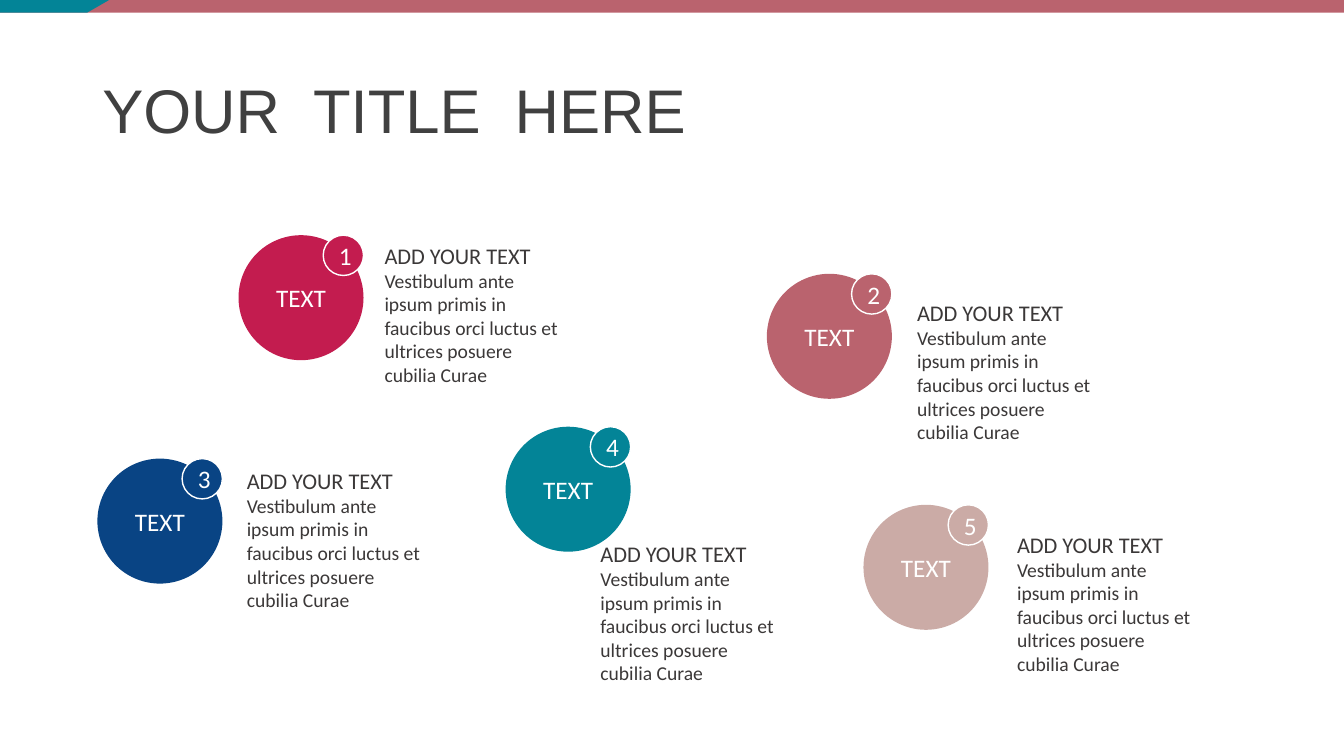
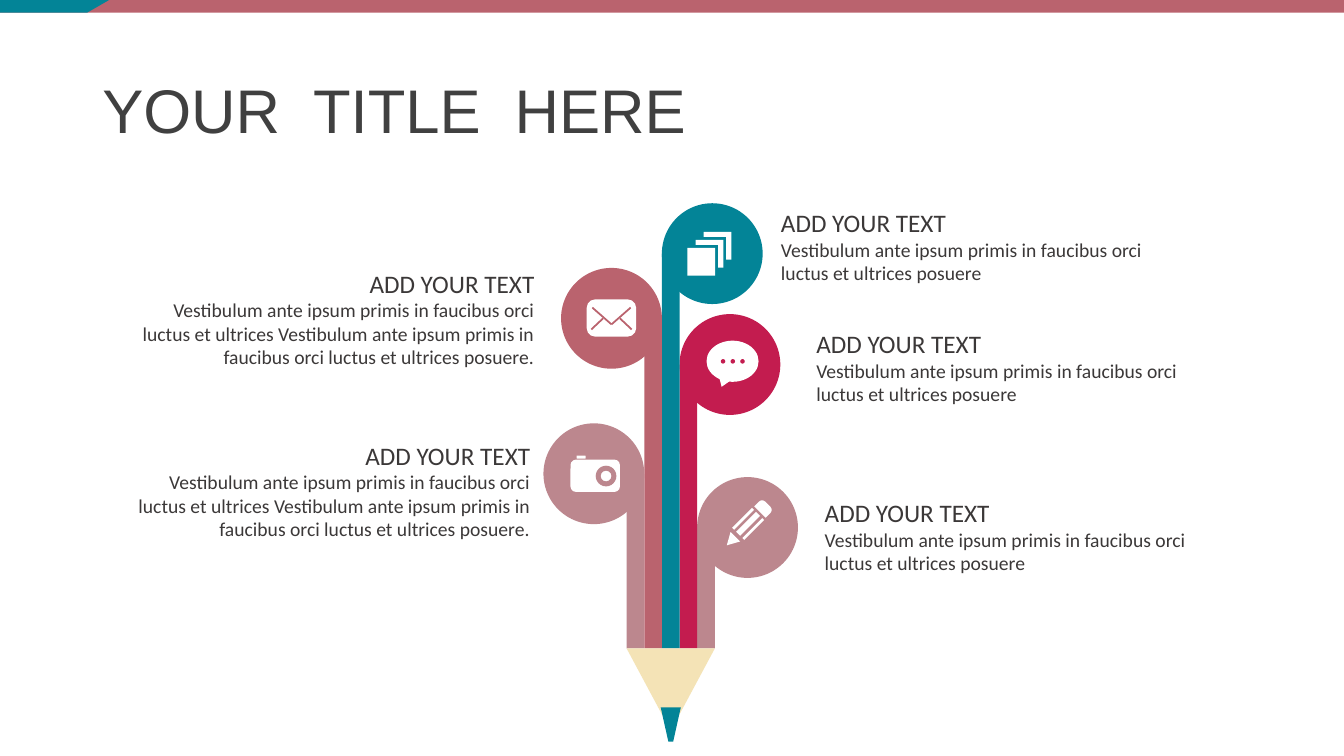
from math import sqrt

from lxml.etree import SubElement
from pptx import Presentation
from pptx.dml.color import RGBColor
from pptx.enum.shapes import MSO_CONNECTOR, MSO_SHAPE as Preset
from pptx.enum.text import MSO_ANCHOR as Anchor, PP_ALIGN as Align
from pptx.oxml.ns import qn
from pptx.util import Emu, Inches, Pt

# Grid of square cells, six to the inch
COLUMNS, ROWS = 80, 45
CELL = Inches(7.5) / ROWS

# Theme
WHITE = RGBColor(0xFF, 0xFF, 0xFF)
ROSE = RGBColor(0xBA, 0x63, 0x6E)
TEAL = RGBColor(0x03, 0x84, 0x97)
CRIMSON = RGBColor(0xC3, 0x1C, 0x4F)
NAVY = RGBColor(0x09, 0x44, 0x84)
BLUSH = RGBColor(0xCB, 0xAB, 0xA6)
MAUVE = RGBColor(0xBC, 0x87, 0x8E)
WOOD = RGBColor(0xF4, 0xE3, 0xB6)
TITLE_GREY = RGBColor(0x40, 0x40, 0x40)
TEXT_GREY = RGBColor(0x3B, 0x38, 0x38)
TITLE_FONT, BODY_FONT = "Arial", "Calibri"

# Numbered discs
DISC, BADGE = 7.44, 2.4

# Pencil made of stems
STEM_WIDTH, STEM_LEFT, STEM_BOTTOM, KNOB = 1.05, 37.3, 38.6, 6

HEADING = "ADD YOUR TEXT"
OPENING = "Vestibulum ante ipsum primis in faucibus orci luctus et ultrices"
DISC_TEXT = f"{OPENING} posuere cubilia Curae"
SHORT_TEXT = f"{OPENING} posuere"
LONG_TEXT = f"{OPENING} {OPENING} posuere."


def cells(count):
    return Emu(round(count * CELL))


def paint(shape, color, outline=None):
    shape.shadow.inherit = False
    shape.fill.solid()
    shape.fill.fore_color.rgb = color
    if outline is None:
        shape.line.fill.background()
    else:
        shape.line.color.rgb = outline
        shape.line.width = Pt(1)
    return shape


def add_preset(slide, preset, left, top, width, height, color,
               outline=None, adjustments=(), rotation=0):
    shape = slide.shapes.add_shape(
        preset, cells(left), cells(top), cells(width), cells(height))
    for index, value in enumerate(adjustments):
        shape.adjustments[index] = value
    shape.rotation = rotation
    return paint(shape, color, outline)


def add_polygon(slide, points, color):
    start, *others = [(cells(x), cells(y)) for x, y in points]
    builder = slide.shapes.build_freeform(*start)
    builder.add_line_segments(others, close=True)
    return paint(builder.convert_to_shape(), color)


def add_line(slide, start, end, color):
    line = slide.shapes.add_connector(
        MSO_CONNECTOR.STRAIGHT, *(cells(value) for value in (*start, *end)))
    line.line.color.rgb = color
    line.line.width = Pt(1.25)
    SubElement(line._element.spPr, qn("a:effectLst"))


def write(shape, text, size, color, align, font=BODY_FONT):
    paragraph = shape.text_frame.paragraphs[0]
    paragraph.text = text
    paragraph.alignment = align
    paragraph.font.name = font
    paragraph.font.size = Pt(size)
    paragraph.font.color.rgb = color
    return paragraph


def add_text(slide, left, top, width, height, text, size,
             color=TEXT_GREY, align=Align.LEFT, font=BODY_FONT, anchor=Anchor.TOP):
    box = slide.shapes.add_textbox(
        cells(left), cells(top), cells(width), cells(height))
    box.text_frame.word_wrap = True
    box.text_frame.vertical_anchor = anchor
    return write(box, text, size, color, align, font)


def add_label(slide, left, top, width, text, lines, size, align=Align.LEFT):
    """Heading with body text directly under its line."""
    heading_line = size / 10
    add_text(slide, left, top, width, heading_line + 0.6, HEADING, size, align=align)
    add_text(slide, left, top + heading_line, width, lines * 1.42 + 0.6,
             text, 14, align=align)


def add_titled_slide(presentation):
    """Blank slide with the shared top band and title."""
    slide = presentation.slides.add_slide(presentation.slide_layouts[6])
    add_preset(slide, Preset.RECTANGLE, 0, 0, COLUMNS, 0.75, ROSE)
    add_polygon(slide, [(0, 0), (6.5, 0), (5.2, 0.75), (0, 0.75)], TEAL)
    title = add_text(slide, 5.5, 2.4, 69, 8.7, "YOUR  TITLE  HERE", 44,
                     TITLE_GREY, font=TITLE_FONT, anchor=Anchor.MIDDLE)
    title.line_spacing = 0.9
    return slide


def add_numbered_disc(slide, left, top, number, color):
    disc = add_preset(slide, Preset.OVAL, left, top, DISC, DISC, color)
    badge = add_preset(slide, Preset.OVAL, left + DISC - BADGE, top,
                       BADGE, BADGE, color, WHITE)
    for shape, text in ((disc, "TEXT"), (badge, str(number))):
        write(shape, text, 18, WHITE, Align.CENTER)


def add_stem(slide, index, top, color, draw_icon):
    """Pencil stripe that ends in a disc with an icon."""
    left = STEM_LEFT + index * STEM_WIDTH
    disc_left = left if index >= 2 else left + STEM_WIDTH - KNOB
    middle = top + KNOB / 2
    add_preset(slide, Preset.OVAL, disc_left, top, KNOB, KNOB, color)
    add_preset(slide, Preset.RECTANGLE, left, middle,
               STEM_WIDTH, STEM_BOTTOM - middle, color)
    draw_icon(slide, disc_left + KNOB / 2, middle, color)


# Icons, each placed from the centre of its disc
def draw_camera(slide, x, y, color):
    add_preset(slide, Preset.ROUNDED_RECTANGLE, x - 1.39, y - 0.84, 2.94, 1.92, WHITE)
    add_preset(slide, Preset.ROUNDED_RECTANGLE, x - 1.03, y - 1.08, 0.54, 0.18, WHITE)
    add_preset(slide, Preset.DONUT, x + 0.11, y - 0.48, 1.23, 1.23, color,
               adjustments=[0.24])


def draw_envelope(slide, x, y, color):
    add_preset(slide, Preset.ROUNDED_RECTANGLE, x - 1.48, y - 1.13, 2.95, 2.22,
               WHITE, adjustments=[0.23])
    for side in (-1, 1):
        add_line(slide, (x + side * 1.14, y - 0.64), (x, y + 0.36), color)
        add_line(slide, (x + side * 1.2, y + 0.66), (x + side * 0.5, y), color)


def draw_pages(slide, x, y, color):
    size, step, edge = 1.65, 0.48, 0.3
    left, top = x - 1.48, y - 0.34
    add_preset(slide, Preset.RECTANGLE, left, top, size, size, WHITE)
    for number in (1, 2):
        page_left, page_top = left + number * step, top - number * step
        right, bottom = page_left + size, page_top + size
        add_polygon(slide, [
            (page_left, page_top), (right, page_top), (right, bottom),
            (right - edge, bottom), (right - edge, page_top + edge),
            (page_left, page_top + edge)], WHITE)


def draw_bubble(slide, x, y, color):
    add_preset(slide, Preset.OVAL_CALLOUT, x - 1.39, y - 1.42, 3.1, 2.45, WHITE,
               adjustments=[-0.21, 0.62])
    dot = 0.27
    for offset in (-0.58, 0, 0.58):
        add_preset(slide, Preset.OVAL, x + 0.17 + offset - dot / 2,
                   y - 0.19 - dot / 2, dot, dot, color)


def draw_pencil(slide, x, y, color):
    tip_x, tip_y = x - 1.24, y + 1.06
    # Preset, distance from tip, sideways offset, length, thickness, rotation
    parts = [
        (Preset.ISOSCELES_TRIANGLE, 0, 0, 0.72, 0.8, 225, []),
        (Preset.RECTANGLE, 0.96, -0.43, 1.68, 0.17, 45, []),
        (Preset.RECTANGLE, 0.96, 0, 1.68, 0.34, 45, []),
        (Preset.RECTANGLE, 0.96, 0.43, 1.68, 0.17, 45, []),
        (Preset.ROUND_2_SAME_RECTANGLE, 2.8, 0, 0.66, 0.96, 45, [0.4, 0]),
    ]
    for preset, start, across, length, thickness, rotation, adjustments in parts:
        along = start + length / 2
        center_x = tip_x + (along + across) / sqrt(2)
        center_y = tip_y - (along - across) / sqrt(2)
        add_preset(slide, preset, center_x - thickness / 2, center_y - length / 2,
                   thickness, length, WHITE, adjustments=adjustments, rotation=rotation)


def build_disc_slide(presentation):
    slide = add_titled_slide(presentation)
    # Disc left and top, label left and top, colour
    discs = [
        (14.2, 14, 22.3, 14.1, CRIMSON),
        (45.65, 16.3, 54, 17.5, ROSE),
        (5.8, 27.3, 14.1, 27.5, NAVY),
        (30.1, 25.4, 35.15, 31.85, TEAL),
        (51.4, 30.05, 59.95, 31.3, BLUSH),
    ]
    for number, (left, top, label_left, label_top, color) in enumerate(discs, 1):
        add_numbered_disc(slide, left, top, number, color)
        add_label(slide, label_left, label_top, 11.9, DISC_TEXT, 5, 16)


def build_pencil_slide(presentation):
    slide = add_titled_slide(presentation)

    # Stems, from back to front
    stems = [
        (4, 28.4, MAUVE, draw_pencil),
        (3, 18.7, CRIMSON, draw_bubble),
        (2, 12.1, TEAL, draw_pages),
        (0, 25.2, MAUVE, draw_camera),
        (1, 15.95, ROSE, draw_envelope),
    ]
    for stem in stems:
        add_stem(slide, *stem)

    # Sharpened end
    right = STEM_LEFT + 5 * STEM_WIDTH
    center = (STEM_LEFT + right) / 2
    add_polygon(slide, [(STEM_LEFT, STEM_BOTTOM), (right, STEM_BOTTOM),
                        (center, 43.5)], WOOD)
    add_preset(slide, Preset.TRAPEZOID, center - 0.6, 42.1, 1.2, 2.05, TEAL,
               adjustments=[0.38], rotation=180)

    # Labels on both sides
    for left, top in ((45.9, 12.05), (48, 19.25), (48.5, 29.3)):
        add_label(slide, left, top, 23.3, SHORT_TEXT, 2, 18)
    for left, top in ((7.4, 15.65), (7.15, 25.9)):
        add_label(slide, left, top, 25, LONG_TEXT, 3, 18, Align.RIGHT)


def main():
    presentation = Presentation()
    presentation.slide_width = cells(COLUMNS)
    presentation.slide_height = cells(ROWS)
    build_disc_slide(presentation)
    build_pencil_slide(presentation)
    presentation.save("out.pptx")


if __name__ == "__main__":
    main()
